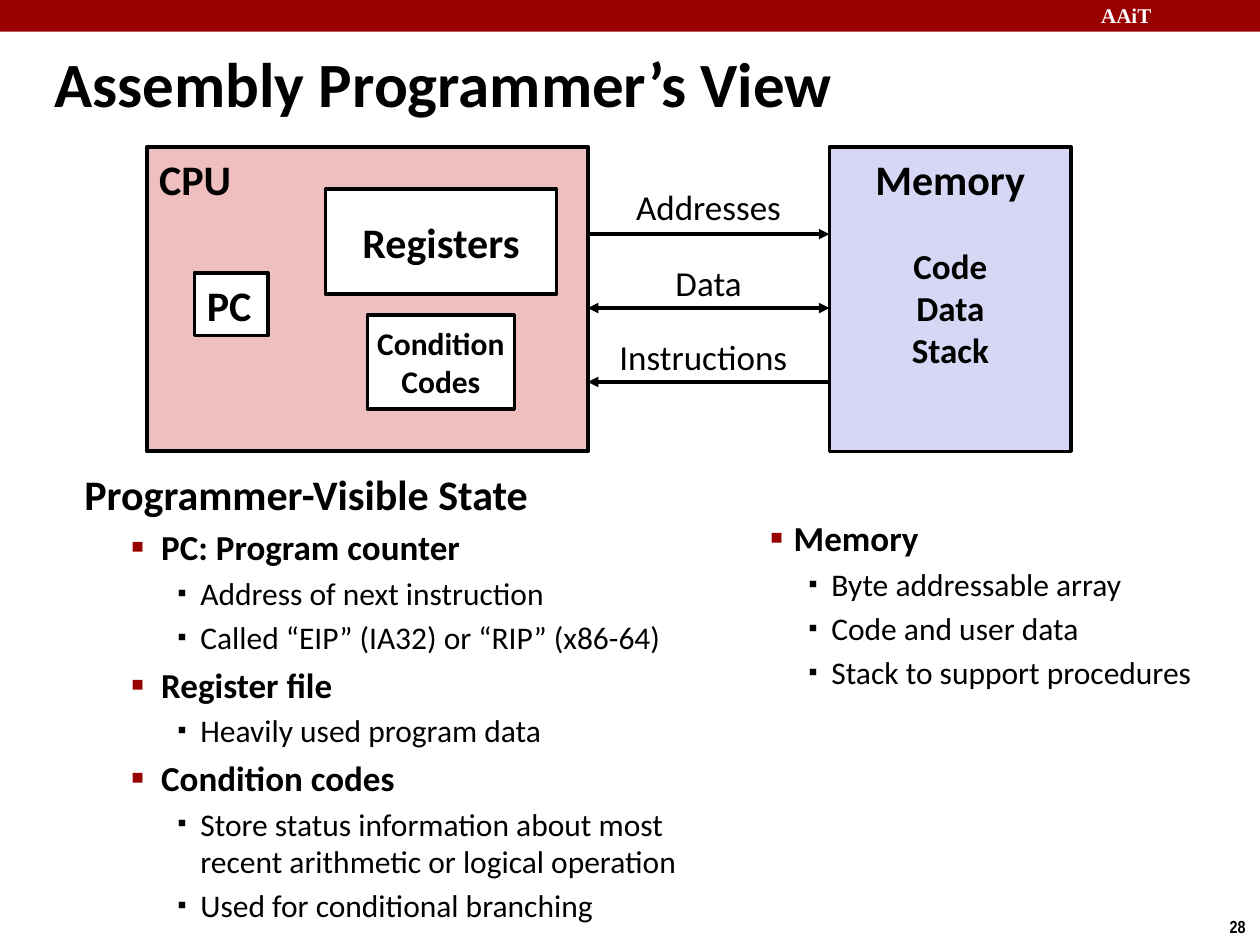
from dataclasses import dataclass

from lxml.etree import SubElement
from pptx import Presentation
from pptx.dml.color import RGBColor
from pptx.enum.shapes import MSO_CONNECTOR, MSO_SHAPE
from pptx.enum.text import MSO_ANCHOR, PP_ALIGN
from pptx.oxml.ns import qn
from pptx.util import Cm, Pt


@dataclass(frozen=True)
class Theme:
    font: str = "Calibri"
    header_font: str = "Times New Roman"
    number_font: str = "Arial Narrow"
    black: str = "000000"
    white: str = "FFFFFF"
    red: str = "990000"
    pink: str = "EFBFBF"
    lilac: str = "D6D6F5"
    title: int = 36
    heading: int = 24
    item: int = 20
    detail: int = 18
    header: int = 12
    number: int = 10


def rgb(value):
    return RGBColor.from_string(value)


def set_attrs(target, values):
    for name, value in values.items():
        setattr(target, name, value)


class SlideBuilder:
    def __init__(self, slide, theme):
        self.s = slide
        self.t = theme

    def add_run(self, p, text, size, bold=True, color=None, font=None):
        r = p.add_run()
        r.text = text
        set_attrs(r.font, {"name": font or self.t.font, "size": Pt(size), "bold": bold})
        r.font.color.rgb = rgb(color or self.t.black)

    def fill_text(self, tf, lines, size, align=PP_ALIGN.LEFT,
                  anchor=MSO_ANCHOR.TOP, wrap=True, **style):
        set_attrs(tf, {"word_wrap": wrap, "vertical_anchor": anchor})
        for i, line in enumerate(lines):
            p = tf.add_paragraph() if i else tf.paragraphs[0]
            p.alignment = align
            self.add_run(p, line, size, **style)

    def text(self, box, lines, size, **style):
        sp = self.s.shapes.add_textbox(*map(Cm, box))
        self.fill_text(sp.text_frame, lines, size, **style)

    def rect(self, box, fill, line=None, lines=(), size=0, **style):
        sp = self.s.shapes.add_shape(MSO_SHAPE.RECTANGLE, *map(Cm, box))
        sp.shadow.inherit = False
        sp.fill.solid()
        sp.fill.fore_color.rgb = rgb(fill)
        if line:
            sp.line.color.rgb = rgb(self.t.black)
            sp.line.width = Pt(line)
        else:
            sp.line.fill.background()
        self.fill_text(sp.text_frame, lines, size, **style)

    def arrow(self, x1, x2, y, ends):
        cn = self.s.shapes.add_connector(
            MSO_CONNECTOR.STRAIGHT, Cm(x1), Cm(y), Cm(x2), Cm(y))
        cn.line.color.rgb = rgb(self.t.black)
        cn.line.width = Pt(2)
        ln = cn._element.spPr.find(qn("a:ln"))
        for end in ends:
            SubElement(ln, qn(f"a:{end}"), type="triangle")
        SubElement(cn._element.spPr, qn("a:effectLst"))

    def outline(self, box, items, levels):
        """Add (level, text) items; levels holds the format of each level."""
        tf = self.s.shapes.add_textbox(*map(Cm, box)).text_frame
        tf.word_wrap = True
        for i, (level, text) in enumerate(items):
            p = tf.add_paragraph() if i else tf.paragraphs[0]
            fmt = levels[level]
            set_attrs(p, {"level": level, "space_before": Pt(fmt["size"] * 0.2)})
            pPr = p._p.get_or_add_pPr()
            pPr.set("marL", str(Cm(fmt["left"])))
            pPr.set("indent", str(-Cm(fmt["hang"])))
            if "bullet" in fmt:
                color, percent = fmt["bullet"]
                SubElement(SubElement(pPr, qn("a:buClr")), qn("a:srgbClr"), val=color)
                SubElement(pPr, qn("a:buSzPct"), val=str(percent * 1000))
                SubElement(pPr, qn("a:buFont"), typeface=self.t.font)
                SubElement(pPr, qn("a:buChar"), char="▪")
            self.add_run(p, text, fmt["size"], bold=fmt["bold"])


def main():
    t = Theme()
    prs = Presentation()
    prs.slide_width, prs.slide_height = Cm(25.4), Cm(19.05)
    b = SlideBuilder(prs.slides.add_slide(prs.slide_layouts[6]), t)
    centre = {"align": PP_ALIGN.CENTER}
    middle = {"anchor": MSO_ANCHOR.MIDDLE}

    # Header bar, page number and title
    b.rect((0, 0, 25.4, 0.64), t.red)
    b.text((21.95, -0.08, 3.4, 0.76), ["AAiT"], t.header,
           color=t.white, font=t.header_font)
    b.text((24.54, 18.34, 0.86, 0.69), ["28"], t.number, wrap=False, font=t.number_font)
    b.text((0.85, 0.85, 20.07, 1.6), ["Assembly Programmer’s View"], t.title, **middle)

    # CPU and its parts
    top, height = 2.96, 6.14
    cpu_left, cpu_width, memory_left = 2.96, 8.89, 16.72
    cpu_right = cpu_left + cpu_width
    b.rect((cpu_left, top, cpu_width, height), t.pink, 2.25, ["CPU"], t.heading)
    parts = [
        ((3.92, 5.5, 1.48, 1.27), ["PC"], t.heading, {}),
        ((6.56, 3.81, 4.66, 2.12), ["Registers"], t.heading, centre),
        ((7.41, 6.35, 2.96, 1.9), ["Condition", "Codes"], t.detail, centre),
    ]
    for box, lines, size, align in parts:
        b.rect(box, t.white, 2, lines, size, wrap=False, **middle, **align)

    # Memory and its contents
    b.rect((memory_left, top, 4.87, height), t.lilac, 2, ["Memory"], t.heading,
           wrap=False, **centre)
    b.text((17.57, 4.8, 3.18, 2.82), ["Code", "Data", "Stack"], t.item, **centre)

    # Buses between CPU and memory
    buses = [
        ("Addresses", 3.61, 4.87, ["tailEnd"]),
        ("Data", 5.15, 4.87, ["headEnd", "tailEnd"]),
        ("Instructions", 6.64, 4.66, ["headEnd"]),
    ]
    for i, (label, label_top, width, ends) in enumerate(buses):
        b.arrow(cpu_right, memory_left, 4.72 + 1.49 * i, ends)
        b.text((cpu_right, label_top, width, 1.09), [label], t.item, bold=False, **centre)

    # Programmer-visible state
    heading = {"size": t.heading, "bold": True, "left": 0.64, "hang": 0.64}
    item = {"size": t.item, "bold": True, "bullet": (t.red, 110)}
    detail = {"size": t.detail, "bold": False, "hang": 0.46, "bullet": (t.black, 80)}
    b.outline((1.45, 9.32, 13.49, 8.59), [
        (0, "Programmer-Visible State"),
        (1, "PC: Program counter"),
        (2, "Address of next instruction"),
        (2, "Called “EIP” (IA32) or “RIP” (x86-64)"),
        (1, "Register file"),
        (2, "Heavily used program data"),
        (1, "Condition codes"),
        (2, "Store status information about most recent arithmetic or logical operation"),
        (2, "Used for conditional branching"),
    ], [heading, {**item, "left": 1.55, "hang": 0.61}, {**detail, "left": 2.34}])
    b.outline((14.94, 10.29, 10.06, 4.37), [
        (1, "Memory"),
        (2, "Byte addressable array"),
        (2, "Code and user data"),
        (2, "Stack to support procedures"),
    ], [heading, {**item, "left": 0.81, "hang": 0.48}, {**detail, "left": 1.57}])

    prs.save("out.pptx")


if __name__ == "__main__":
    main()
